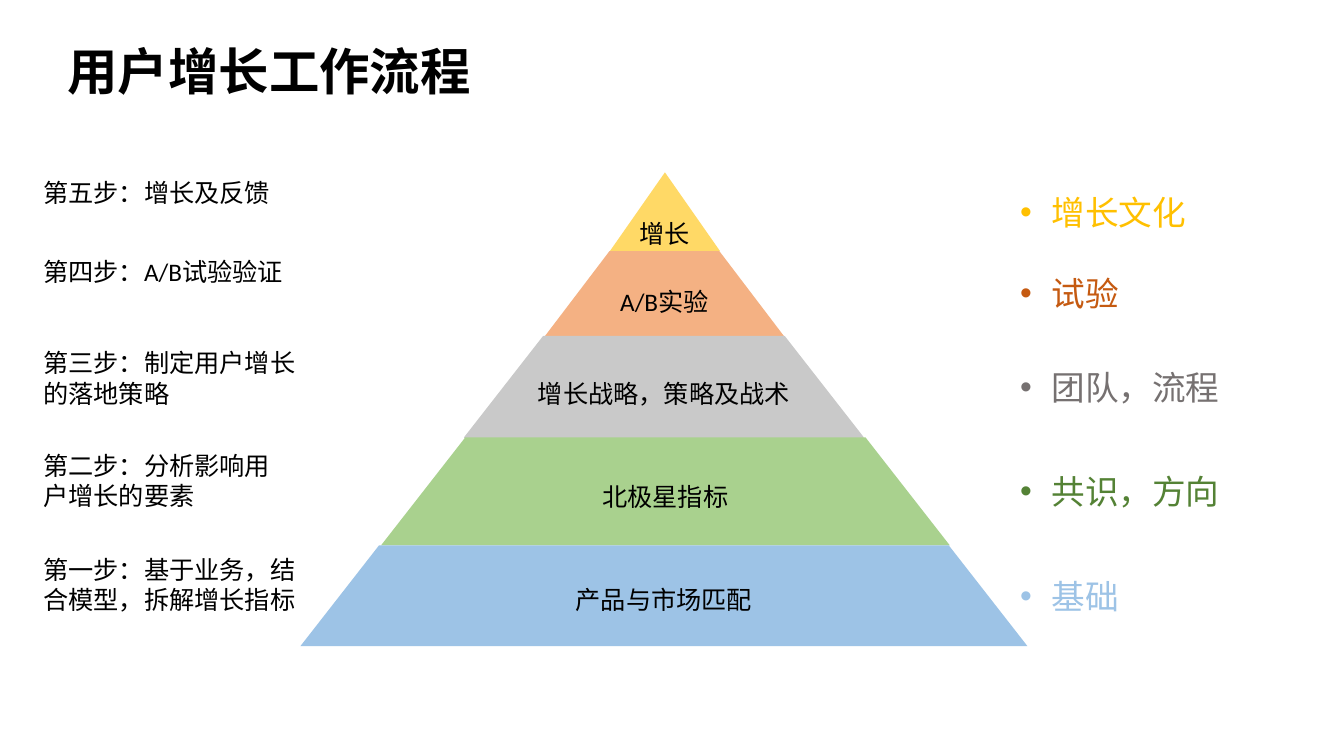
import pptx
import pptx.util
import pptx.dml.color
import pptx.enum.shapes
import pptx.enum.text
import lxml.etree

Inches = pptx.util.Inches
RGBColor = pptx.dml.color.RGBColor
MSO_SHAPE = pptx.enum.shapes.MSO_SHAPE
MSO_ANCHOR = pptx.enum.text.MSO_ANCHOR
PP_ALIGN = pptx.enum.text.PP_ALIGN

BLACK = RGBColor(0x00, 0x00, 0x00)
YELLOW = RGBColor(0xFF, 0xD9, 0x66)
ORANGE = RGBColor(0xF4, 0xB1, 0x83)
GREY = RGBColor(0xC9, 0xC9, 0xC9)
GREEN = RGBColor(0xA9, 0xD1, 0x8E)
BLUE = RGBColor(0x9D, 0xC3, 0xE6)
GOLD = RGBColor(0xFF, 0xC0, 0x00)
RUST = RGBColor(0xC5, 0x5A, 0x11)
DARK_GREY = RGBColor(0x76, 0x71, 0x71)
DARK_GREEN = RGBColor(0x54, 0x82, 0x35)


def write(shape, text, size, color):
    paragraph = shape.text_frame.paragraphs[0]
    paragraph.text = text
    paragraph.font.name = "Calibri"
    paragraph.font.size = pptx.util.Pt(size)
    paragraph.font.color.rgb = color
    return paragraph


def add_text(left, top, width, height, text, size=18, color=BLACK, bullet=False):
    box = slide.shapes.add_textbox(Inches(left), Inches(top), Inches(width), Inches(height))
    box.text_frame.word_wrap = True
    if bullet:
        properties = box.text_frame.paragraphs[0]._p.get_or_add_pPr()
        properties.set("marL", str(Inches(0.31)))
        properties.set("indent", str(-Inches(0.31)))
        namespace = properties.nsmap["a"]
        lxml.etree.SubElement(properties, f"{{{namespace}}}buFont", typeface="Arial")
        lxml.etree.SubElement(properties, f"{{{namespace}}}buChar", char="•")
    return box, write(box, text, size, color)


presentation = pptx.Presentation()
presentation.slide_width = Inches(13.33)
presentation.slide_height = Inches(7.5)
slide = presentation.slides.add_slide(presentation.slide_layouts[6])

title, heading = add_text(0.57, 0.43, 11.5, 0.62, "用户增长工作流程", 36)
title.text_frame.vertical_anchor = MSO_ANCHOR.MIDDLE
heading.font.bold = True
heading.line_spacing = 0.9

levels = [
    (6.05, 1.71, 1.09, 0.78, 0.5, YELLOW, ""),
    (5.4, 2.49, 2.38, 0.85, 0.76, ORANGE, "A/B实验"),
    (4.61, 3.34, 3.95, 1, 0.78, GREY, "增长战略，策略及战术"),
    (3.78, 4.34, 5.64, 1.07, 0.78, GREEN, "北极星指标"),
    (2.98, 5.41, 7.21, 1, 0.78, BLUE, "产品与市场匹配"),
]
for left, top, width, height, slope, color, label in levels:
    outline = MSO_SHAPE.TRAPEZOID if label else MSO_SHAPE.ISOSCELES_TRIANGLE
    level = slide.shapes.add_shape(outline, Inches(left), Inches(top), Inches(width), Inches(height))
    level.adjustments[0] = slope
    level.shadow.inherit = False
    level.fill.solid()
    level.fill.fore_color.rgb = color
    level.line.fill.background()
    if color == GREY:
        level.line.color.rgb = GREY
        level.line.width = pptx.util.Pt(1)
    if label:
        level.text_frame.vertical_anchor = MSO_ANCHOR.MIDDLE
        write(level, label, 18, BLACK).alignment = PP_ALIGN.CENTER

add_text(6.24, 2.12, 0.83, 0.4, "增长")

steps = [
    (1.71, 2.78, 0.4, "第五步：增长及反馈"),
    (2.49, 2.78, 0.4, "第四步：A/B试验验证"),
    (3.4, 2.78, 0.71, "第三步：制定用户增长的落地策略"),
    (4.42, 2.65, 0.71, "第二步：分析影响用户增长的要素"),
    (5.45, 2.78, 0.71, "第一步：基于业务，结合模型，拆解增长指标"),
]
for top, width, height, step in steps:
    add_text(0.33, top, width, height, step)

themes = [
    (1.85, "增长文化", GOLD),
    (2.66, "试验", RUST),
    (3.59, "团队，流程", DARK_GREY),
    (4.62, "共识，方向", DARK_GREEN),
    (5.66, "基础", BLUE),
]
for top, theme, color in themes:
    add_text(10.02, top, 2.51, 0.5, theme, 24, color, bullet=True)

presentation.save("out.pptx")
